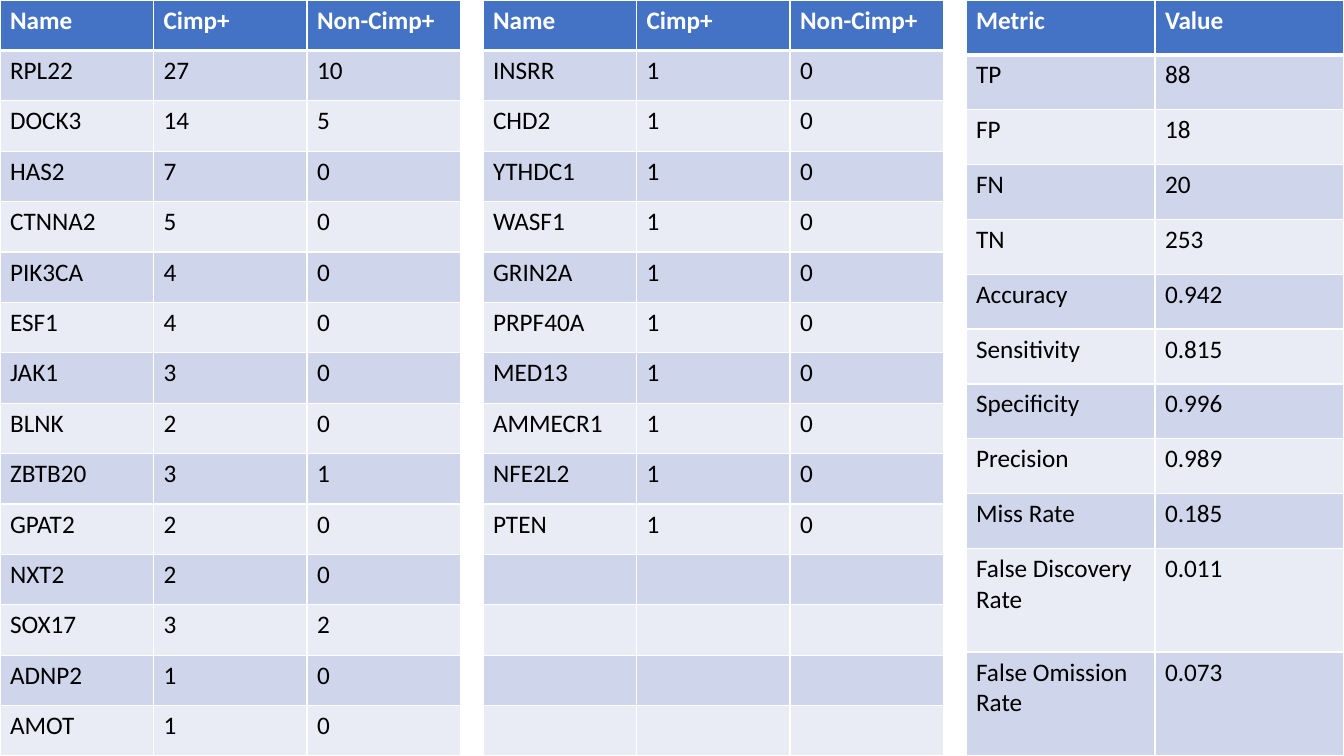
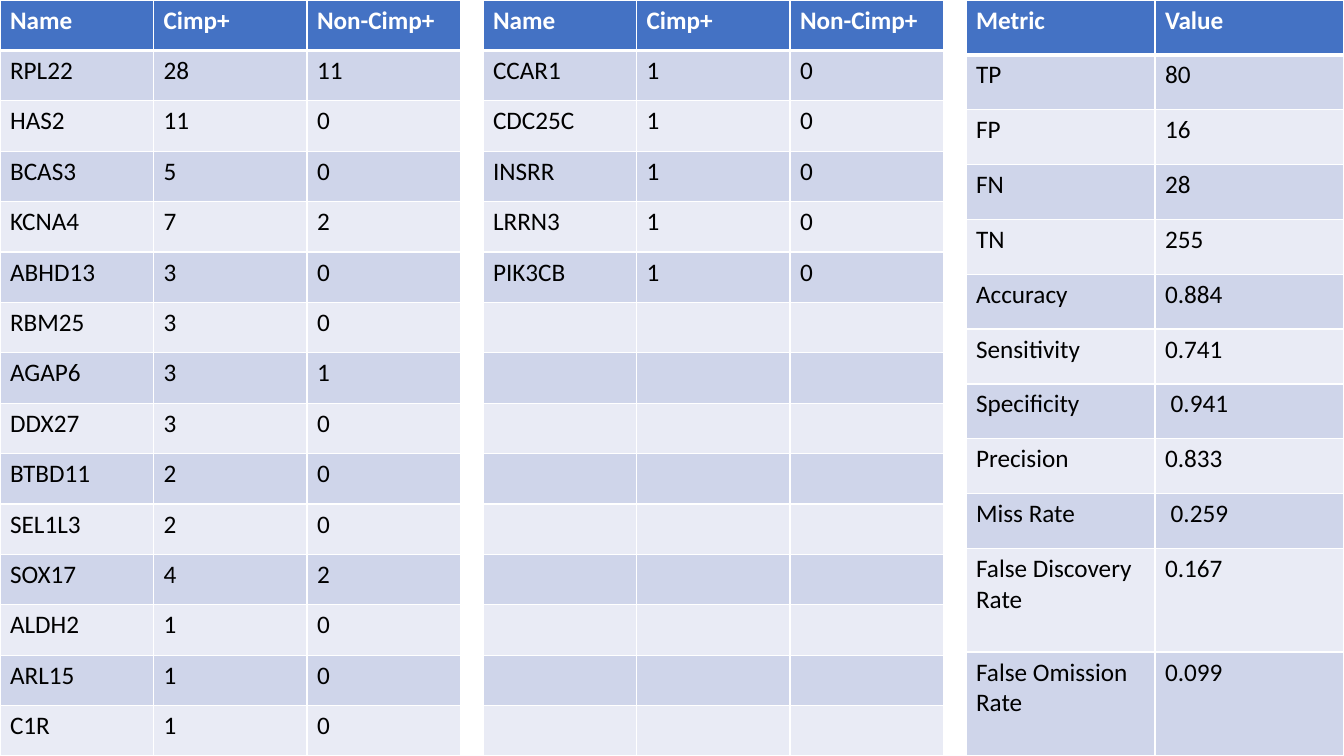
from dataclasses import dataclass
from itertools import product

from lxml.etree import SubElement as Sub
from pptx import Presentation as Deck
from pptx.dml.color import RGBColor as Rgb
from pptx.oxml.ns import qn
from pptx.slide import Slide
from pptx.table import _Cell as Cell
from pptx.util import Pt

FONT, SIZE = "Calibri", 18
WHITE, BLACK, HEAD = "FFFFFF", "000000", "4472C4"
BANDS = ("E9EBF5", "CFD5EA")
WIDE, HIGH, STEP = 960, 540, 345
THIN, THICK = 1, 3
PAD, INDENT = 7.2, 4
GENE_HEAD = ("Name", "Cimp+", "Non-Cimp+")
GENE_ROWS = 15
RATES = (
    "TP", "FP", "FN", "TN", "Accuracy", "Sensitivity", "Specificity",
    "Precision", "Miss Rate", "False Discovery \nRate", "False Omission \nRate",
)
Row = tuple[str, ...]


@dataclass(frozen=True)
class Grid:
    left: float
    col: float
    highs: tuple[float, ...]
    rows: list[Row]
    inset: tuple[str, ...] = ()


@dataclass(frozen=True)
class Page:
    first: list[Row]
    second: list[Row]
    scores: Row
    inset: tuple[str, ...] = ()


PAGES = (
    Page(
        [
            ("RPL22", "27", "10"), ("DOCK3", "14", "5"), ("HAS2", "7", "0"),
            ("CTNNA2", "5", "0"), ("PIK3CA", "4", "0"), ("ESF1", "4", "0"),
            ("JAK1", "3", "0"), ("BLNK", "2", "0"), ("ZBTB20", "3", "1"),
            ("GPAT2", "2", "0"), ("NXT2", "2", "0"), ("SOX17", "3", "2"),
            ("ADNP2", "1", "0"), ("AMOT", "1", "0"),
        ],
        [
            (name, "1", "0")
            for name in (
                "INSRR", "CHD2", "YTHDC1", "WASF1", "GRIN2A",
                "PRPF40A", "MED13", "AMMECR1", "NFE2L2", "PTEN",
            )
        ],
        ("88", "18", "20", "253", "0.942", "0.815", "0.996", "0.989", "0.185",
         "0.011", "0.073"),
    ),
    Page(
        [
            ("RPL22", "28", "11"), ("HAS2", "11", "0"), ("BCAS3", "5", "0"),
            ("KCNA4", "7", "2"), ("ABHD13", "3", "0"), ("RBM25", "3", "0"),
            ("AGAP6", "3", "1"), ("DDX27", "3", "0"), ("BTBD11", "2", "0"),
            ("SEL1L3", "2", "0"), ("SOX17", "4", "2"), ("ALDH2", "1", "0"),
            ("ARL15", "1", "0"), ("C1R", "1", "0"),
        ],
        [
            (name, "1", "0")
            for name in ("CCAR1", "CDC25C", "INSRR", "LRRN3", "PIK3CB")
        ],
        ("80", "16", "28", "255", "0.884", "0.741", "0.941", "0.833", "0.259",
         "0.167", "0.099"),
        inset=("0.941", "0.259"),
    ),
)


def tint(code: str) -> Rgb:
    return Rgb.from_string(code)


def edge(cell: Cell, row: int) -> None:
    props = cell._tc.get_or_add_tcPr()
    thick = {0: "lnB", 1: "lnT"}.get(row)
    for side in ("lnL", "lnR", "lnT", "lnB"):
        width = THICK if side == thick else THIN
        line = Sub(props, qn(f"a:{side}"), w=str(Pt(width)))
        fill = Sub(line, qn("a:solidFill"))
        Sub(fill, qn("a:srgbClr"), val=WHITE)


def style(cell: Cell, text: str, row: int) -> None:
    edge(cell, row)
    cell.fill.solid()
    cell.fill.fore_color.rgb = tint(BANDS[row % 2] if row else HEAD)
    cell.text_frame.text = text
    for para in cell.text_frame.paragraphs:
        font = para.font
        font.name, font.size, font.bold = FONT, Pt(SIZE), row == 0
        font.color.rgb = tint(BLACK if row else WHITE)


def draw(slide: Slide, grid: Grid) -> None:
    count = len(grid.rows[0])
    table = slide.shapes.add_table(
        len(grid.rows), count, Pt(grid.left), Pt(0),
        Pt(grid.col * count), Pt(sum(grid.highs)),
    ).table
    for col in table.columns:
        col.width = Pt(grid.col)
    for row, high in zip(table.rows, grid.highs):
        row.height = Pt(high)
    for r, c in product(range(len(grid.rows)), range(count)):
        cell, text = table.cell(r, c), grid.rows[r][c]
        style(cell, text, r)
        if text in grid.inset:
            cell.margin_left = Pt(PAD + INDENT)


def genes(left: float, rows: list[Row]) -> Grid:
    blank = [("", "", "")] * (GENE_ROWS - 1 - len(rows))
    highs = (HIGH / GENE_ROWS,) * GENE_ROWS
    return Grid(left, 109.67, highs, [GENE_HEAD, *rows, *blank])


def rates(left: float, page: Page) -> Grid:
    rows = [("Metric", "Value"), *zip(RATES, page.scores)]
    highs = (39.2,) * 10 + (74,) * 2
    return Grid(left, (WIDE - left) / 2, highs, rows, page.inset)


def main() -> None:
    """Build the gene count and metric slides."""
    deck = Deck()
    deck.slide_width, deck.slide_height = Pt(WIDE), Pt(HIGH)
    for page in PAGES:
        slide = deck.slides.add_slide(deck.slide_layouts[6])
        draw(slide, genes(0, page.first))
        draw(slide, genes(STEP, page.second))
        draw(slide, rates(2 * STEP, page))
    deck.save("out.pptx")


if __name__ == "__main__":
    main()
